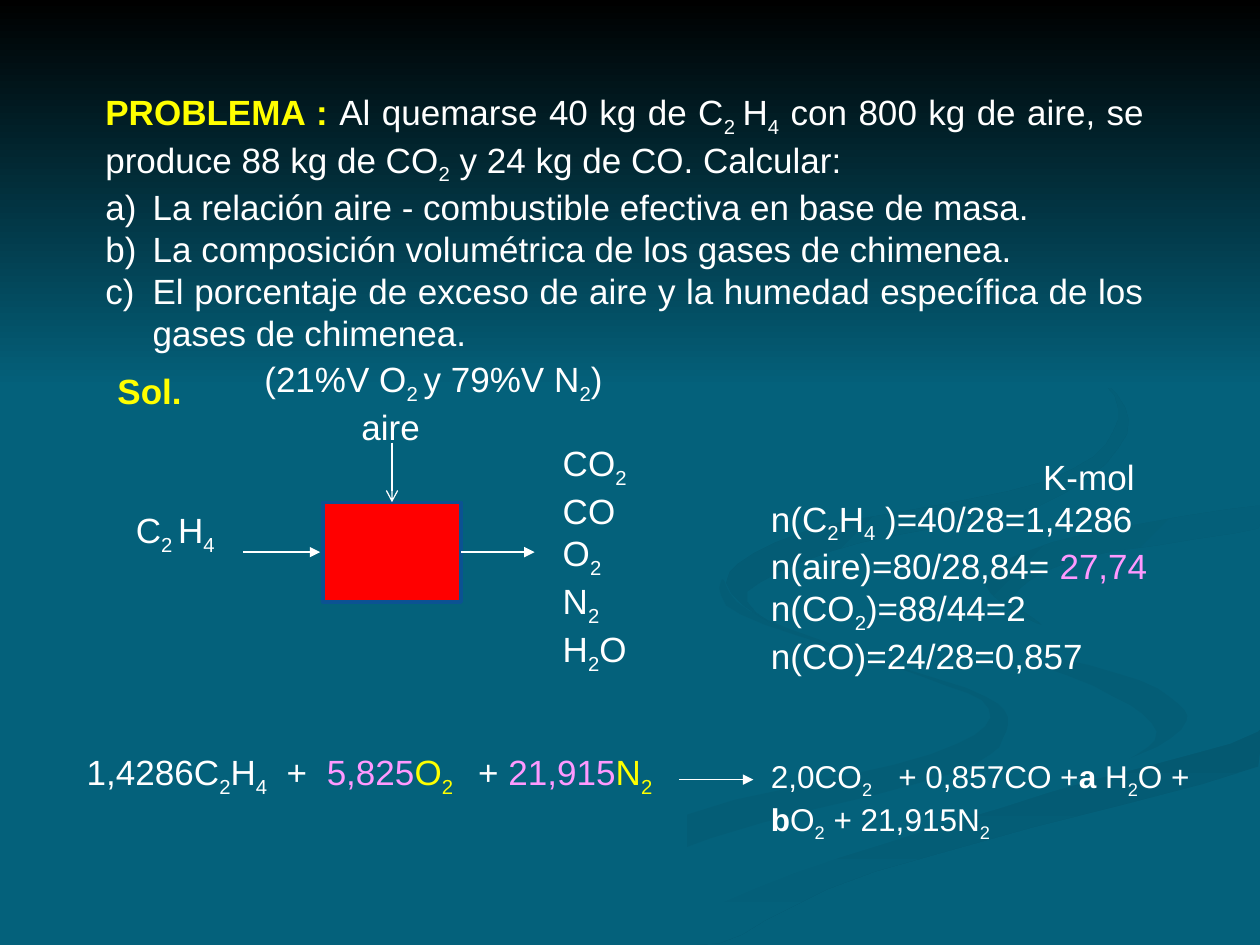
from lxml import etree
from pptx import Presentation
from pptx.dml.color import RGBColor
from pptx.enum.shapes import MSO_CONNECTOR, MSO_SHAPE
from pptx.enum.text import MSO_ANCHOR, MSO_AUTO_SIZE, PP_ALIGN
from pptx.oxml.ns import qn
from pptx.util import Pt

STRAIGHT = MSO_CONNECTOR.STRAIGHT
RECTANGLE = MSO_SHAPE.RECTANGLE
TOP = MSO_ANCHOR.TOP
FIT_SHAPE, NO_FIT = MSO_AUTO_SIZE.SHAPE_TO_FIT_TEXT, MSO_AUTO_SIZE.NONE
JUSTIFY = PP_ALIGN.JUSTIFY

FONT = "Arial"
WIDTH, HEIGHT = 720, 540
WHITE, YELLOW, PINK = "FFFFFF", "FFFF00", "FF99FF"
TEAL, BLACK, RED, BLUE = "04617B", "000000", "FF0000", "0B5292"

# Background ribbons: start colour, end colour, clockwise angle, curve knots
RIBBONS = [
    (TEAL, "045D76", 0, [
        (563, 398), (492, 374), (428, 349), (413, 331), (423, 351), (514, 382), (565, 405),
        (532, 431), (388, 467), (216, 539), (260, 539), (406, 479), (544, 442), (575, 418)]),
    (TEAL, "045D76", 45, [
        (679, 410), (652, 389), (570, 366), (521, 334), (537, 360), (625, 392), (661, 418),
        (644, 436), (671, 424)]),
    ("045971", TEAL, 90, [
        (362, 539), (411, 539), (500, 498), (719, 438), (719, 418), (550, 466), (454, 499)]),
    (TEAL, TEAL, 0, [
        (522, 334), (546, 359), (652, 389), (678, 412), (634, 438), (507, 472), (343, 539),
        (363, 539), (454, 499), (599, 453), (719, 418), (719, 387), (611, 362), (563, 334),
        (601, 310), (719, 289), (719, 279), (582, 300), (534, 316)]),
    ("045C74", TEAL, 45, [
        (563, 334), (595, 357), (580, 340), (618, 319), (719, 302), (719, 289), (601, 310)]),
    ("045A72", TEAL, 45, [
        (492, 310), (594, 289), (644, 248), (622, 210), (549, 168), (616, 205), (639, 240),
        (598, 275), (459, 304), (415, 333), (448, 360), (427, 338)]),
]

# Paragraphs are lists of (text, colour, bold); text between underscores is subscript
PROBLEM = [
    [("PROBLEMA : ", YELLOW, True),
     ("Al quemarse 40 kg de C_2 _H_4_ con 800 kg de aire, se produce 88 kg de CO_2_"
      " y 24 kg de CO. Calcular:", WHITE, False)],
    "La relación aire - combustible efectiva en base de masa.",
    "La composición volumétrica de los gases de chimenea.",
    "El porcentaje de exceso de aire y la humedad específica de los gases de chimenea.",
]
REACTANTS = [[("1,4286C_2_H_4_  +  ", WHITE, False), ("5,825", PINK, False),
              ("O_2 _", YELLOW, False), ("  + ", WHITE, False),
              ("21,915", PINK, False), ("N_2_", YELLOW, False)]]
PRODUCTS = [
    [("2,0CO_2_   + 0,857CO +", WHITE, False), ("a", WHITE, True),
     (" H_2_O +", WHITE, False)],
    [("b", WHITE, True), ("O_2_ + 21,915N_2_", WHITE, False)],
]
MOLES = [
    "K-mol",
    "n(C_2_H_4_ )=40/28=1,4286",
    [("n(aire)=80/28,84= ", WHITE, False), ("27,74", PINK, False)],
    "n(CO_2_)=88/44=2",
    "n(CO)=24/28=0,857",
]
FLUE_GASES = ["CO_2_", "CO", "O_2_", "N_2_", "H_2_O"]


def rgb(hex_colour):
    return RGBColor.from_string(hex_colour)


def paint_gradient(shape, start, end, clockwise):
    shape.shadow.inherit = False
    shape.line.fill.background()
    shape.fill.gradient()
    shape.fill.gradient_angle = (360 - clockwise) % 360
    for stop, colour in zip(shape.fill.gradient_stops, (start, end)):
        stop.color.rgb = rgb(colour)


def smooth(knots, steps=5):
    """Closed Catmull-Rom curve through the knots, kept on the slide."""
    curve = []
    for i in range(len(knots)):
        corners = [knots[(i + k) % len(knots)] for k in (-1, 0, 1, 2)]
        for t in (step / steps for step in range(steps)):
            x, y = (b + t * (c - a + t * (2 * a - 5 * b + 4 * c - d
                                          + t * (3 * b - a - 3 * c + d))) / 2
                    for a, b, c, d in zip(*corners))
            curve.append((min(x, WIDTH), min(y, HEIGHT)))
    return curve


def add_ribbon(slide, start, end, clockwise, knots):
    curve = smooth(knots)
    builder = slide.shapes.build_freeform(*curve[0], scale=Pt(1))
    builder.add_line_segments(curve[1:], close=True)
    paint_gradient(builder.convert_to_shape(), start, end, clockwise)


def indent(paragraph, left, first=0):
    properties = paragraph._p.get_or_add_pPr()
    properties.set("marL", str(Pt(left)))
    properties.set("indent", str(Pt(first)))
    return properties


def write(frame, content, size):
    for number, parts in enumerate(content):
        paragraph = frame.paragraphs[0] if number == 0 else frame.add_paragraph()
        paragraph.font.name, paragraph.font.size = FONT, Pt(size)
        if isinstance(parts, str):
            parts = [(parts, WHITE, False)]
        for text, colour, bold in parts:
            for position, piece in enumerate(text.split("_")):
                if not piece:
                    continue
                run = paragraph.add_run()
                run.text = piece
                run.font.bold = bold
                run.font.color.rgb = rgb(colour)
                if position % 2:
                    run._r.get_or_add_rPr().set("baseline", "-25000")


def add_label(slide, left, top, width, height, content, size=20, wrap=False):
    frame = slide.shapes.add_textbox(Pt(left), Pt(top), Pt(width), Pt(height)).text_frame
    frame.word_wrap = wrap
    frame.auto_size = FIT_SHAPE
    write(frame, content, size)
    return frame


def add_arrow(slide, x1, y1, x2, y2, head="triangle"):
    arrow = slide.shapes.add_connector(STRAIGHT, Pt(x1), Pt(y1), Pt(x2), Pt(y2))
    arrow.line.color.rgb = rgb(WHITE)
    arrow.line.width = Pt(0.75)
    etree.SubElement(arrow.line._get_or_add_ln(), qn("a:tailEnd"), type=head)
    etree.SubElement(arrow._element.spPr, qn("a:effectLst"))


def place_problem(body):
    # Bring the statement in front of the background shapes
    body.element.getparent().append(body.element)
    body.left, body.top, body.width, body.height = Pt(53), Pt(48), Pt(608), Pt(174)
    frame = body.text_frame
    frame.auto_size, frame.vertical_anchor = NO_FIT, TOP
    write(frame, PROBLEM, 20)
    for number, paragraph in enumerate(frame.paragraphs):
        paragraph.alignment = JUSTIFY
        paragraph.space_before = Pt(0)
        if number == 0:
            bullet = etree.Element(qn("a:buNone"))
            properties = indent(paragraph, 0)
        else:
            bullet = etree.Element(qn("a:buAutoNum"), type="alphaLcParenR")
            properties = indent(paragraph, 27, -27)
        properties.find(qn("a:defRPr")).addprevious(bullet)


def add_chamber(slide):
    chamber = slide.shapes.add_shape(RECTANGLE, Pt(184.5), Pt(287), Pt(79), Pt(57))
    chamber.shadow.inherit = False
    chamber.fill.solid()
    chamber.fill.fore_color.rgb = rgb(RED)
    chamber.line.color.rgb = rgb(BLUE)
    chamber.line.width = Pt(2)


def main():
    deck = Presentation()
    deck.slide_width, deck.slide_height = Pt(WIDTH), Pt(HEIGHT)
    slide = deck.slides.add_slide(deck.slide_layouts[1])
    title, body = slide.placeholders
    title.element.getparent().remove(title.element)

    # Background
    slide.background.fill.solid()
    slide.background.fill.fore_color.rgb = rgb(TEAL)
    for ribbon in RIBBONS:
        add_ribbon(slide, *ribbon)
    sky = slide.shapes.add_shape(RECTANGLE, 0, 0, Pt(WIDTH), Pt(222))
    paint_gradient(sky, BLACK, TEAL, 90)

    # Statement
    place_problem(body)
    add_label(slide, 60, 207.5, 73, 32, [[("Sol.", YELLOW, True)]], wrap=True)

    # Combustion chamber with its flows
    add_chamber(slide)
    add_arrow(slide, 139, 315.5, 183, 315.5)
    add_arrow(slide, 263.5, 315.5, 305.5, 315.5)
    add_arrow(slide, 224, 253, 224, 287, "arrow")
    add_label(slide, 70.5, 287, 68, 32, ["C_2 _H_4_"])
    air = add_label(slide, 144, 201, 238, 55, ["(21%V O_2 _y 79%V N_2_)", "aire"], wrap=True)
    indent(air.paragraphs[1], 55.5)
    add_label(slide, 314.5, 249, 52.5, 128, FLUE_GASES)

    # Amounts in kmol
    moles = add_label(slide, 433.5, 256.5, 244, 128, MOLES, wrap=True)
    indent(moles.paragraphs[0], 155.5)

    # Reaction
    add_label(slide, 42.5, 425.5, 344, 32, REACTANTS)
    add_arrow(slide, 388, 445.5, 430.5, 445.5)
    add_label(slide, 433.5, 429, 258, 51, PRODUCTS, size=18)
    deck.save("out.pptx")


if __name__ == "__main__":
    main()
